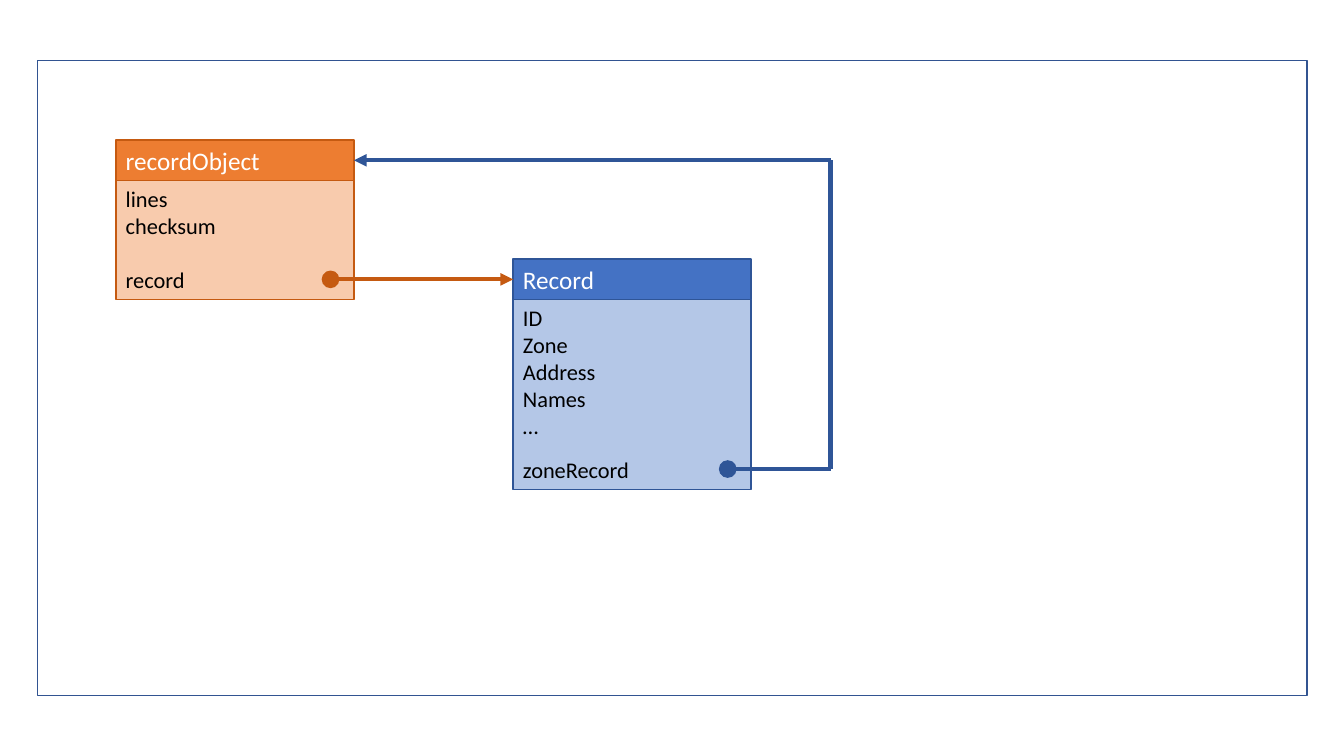
from lxml.etree import SubElement
from pptx import Presentation
from pptx.dml.color import RGBColor
from pptx.enum.shapes import MSO_CONNECTOR, MSO_SHAPE
from pptx.enum.text import MSO_ANCHOR, PP_ALIGN
from pptx.oxml.ns import qn
from pptx.util import Cm, Pt

COLORS = {
    "object_header": "ED7D31", "object_body": "F8CBAD", "object_line": "C55A11",
    "record_header": "4472C4", "record_body": "B4C7E7", "record_line": "2F5597",
    "frame": "325491", "white": "FFFFFF", "black": "000000",
}
HEADER_HEIGHT = 1.02
DOT_SIZE = 0.41
DOT_FROM_RIGHT = 0.59
DOT_FROM_BOTTOM = 0.51


def rgb(name):
    """Return the palette colour with this name."""
    return RGBColor.from_string(COLORS[name])


def add_box(slide, kind, box, fill, line):
    """Add a flat shape with a thin outline; a fill of None leaves it open."""
    shape = slide.shapes.add_shape(kind, *map(Cm, box))
    shape.shadow.inherit = False
    if fill:
        shape.fill.solid()
        shape.fill.fore_color.rgb = rgb(fill)
    else:
        shape.fill.background()
    shape.line.color.rgb = rgb(line)
    shape.line.width = Pt(1)
    return shape


def write_lines(shape, lines, size, color, anchor):
    """Write left-aligned paragraphs into a shape and return the last one."""
    frame = shape.text_frame
    frame.word_wrap = True
    frame.vertical_anchor = anchor
    frame.text = "\n".join(lines)
    for paragraph in frame.paragraphs:
        paragraph.alignment = PP_ALIGN.LEFT
        paragraph.font.name = "Calibri"
        paragraph.font.size = Pt(size)
        paragraph.font.color.rgb = rgb(color)
    return paragraph


def add_class_box(slide, box, theme, title, fields, reference_gap):
    """Draw a titled field list and return the right end of its reference dot."""
    left, top, width, height = box
    line = f"{theme}_line"
    body_box = (left, top + HEADER_HEIGHT, width, height - HEADER_HEIGHT)
    body = add_box(slide, MSO_SHAPE.FLOWCHART_PROCESS, body_box, f"{theme}_body", line)
    reference = write_lines(body, fields, 16, "black", MSO_ANCHOR.TOP)
    reference.space_before = Pt(reference_gap)
    header_box = (left, top, width, HEADER_HEIGHT)
    header = add_box(slide, MSO_SHAPE.FLOWCHART_PROCESS, header_box, f"{theme}_header", line)
    write_lines(header, [title], 18, "white", MSO_ANCHOR.MIDDLE)
    center_x = left + width - DOT_FROM_RIGHT
    center_y = top + height - DOT_FROM_BOTTOM
    radius = DOT_SIZE / 2
    dot_box = (center_x - radius, center_y - radius, DOT_SIZE, DOT_SIZE)
    add_box(slide, MSO_SHAPE.OVAL, dot_box, line, line)
    return center_x + radius, center_y


def add_route(slide, points, color):
    """Join points with straight connectors, ending in an arrowhead."""
    for start, end in zip(points, points[1:]):
        connector = slide.shapes.add_connector(
            MSO_CONNECTOR.STRAIGHT, *map(Cm, start + end))
        connector.line.color.rgb = rgb(color)
        connector.line.width = Pt(3)
        properties = connector._element.spPr
        SubElement(properties, qn("a:effectLst"))
    SubElement(properties.find(qn("a:ln")), qn("a:tailEnd"), type="triangle")


def add_record_diagram(slide, box):
    """Draw the framed diagram of two objects that refer to each other."""
    left, top, width, height = box
    add_box(slide, MSO_SHAPE.RECTANGLE, box, None, "frame")
    object_left, object_top = left + 1.98, top + 2.01
    record_left, record_top = left + 11.99, top + 5.01
    box_width = 6
    record_dot = add_class_box(
        slide, (record_left, record_top, box_width, 5.8), "record", "Record",
        ["ID", "Zone", "Address", "Names", "…", "zoneRecord"], 12)
    object_dot = add_class_box(
        slide, (object_left, object_top, box_width, 4.02), "object", "recordObject",
        ["lines", "checksum", "record"], 19.5)
    add_route(slide, [object_dot, (record_left, object_dot[1])], "object_line")
    turn_x = record_left + box_width + 2
    header_y = object_top + HEADER_HEIGHT / 2
    add_route(slide, [record_dot, (turn_x, record_dot[1]), (turn_x, header_y),
                      (object_left + box_width, header_y)], "record_line")


def main():
    """Build the presentation and save it."""
    presentation = Presentation()
    presentation.slide_width = Cm(33.87)
    presentation.slide_height = Cm(19.05)
    slide = presentation.slides.add_slide(presentation.slide_layouts[6])
    add_record_diagram(slide, (0.94, 1.52, 32, 16))
    presentation.save("out.pptx")


main()
